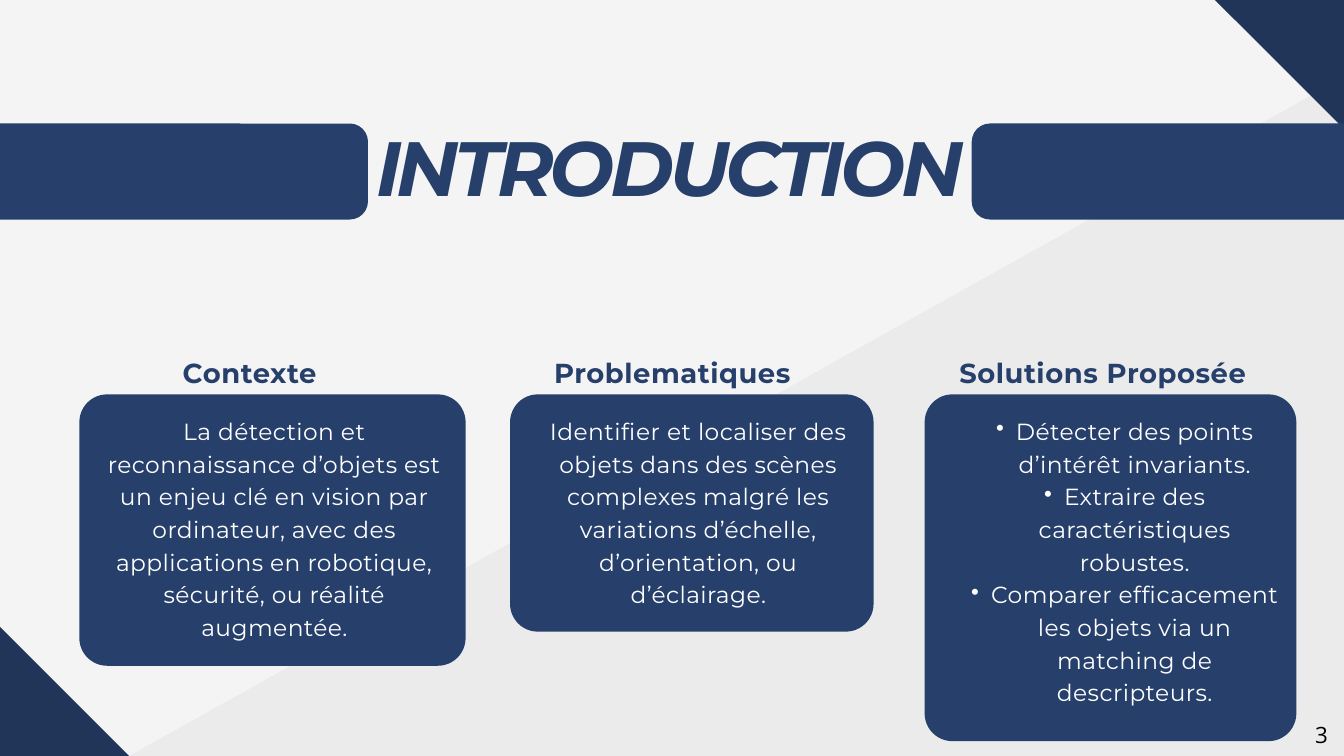
from dataclasses import dataclass

from lxml.etree import SubElement
from pptx import Presentation
from pptx.dml.color import RGBColor
from pptx.enum.shapes import MSO_SHAPE
from pptx.enum.text import MSO_AUTO_SIZE, PP_ALIGN
from pptx.oxml.ns import qn
from pptx.util import Cm, Pt


@dataclass(frozen=True)
class Style:
    font: str
    size: float
    color: str
    line: float
    track: float = 0
    bold: bool = False
    slant: bool = False


@dataclass(frozen=True)
class Theme:
    back: str = "F4F4F4"
    shade: str = "545454"
    dark: str = "213559"
    blue: str = "263F6B"
    title: Style = Style("Montserrat", 82.4, "263F6B", 80.7, -4.8, True, True)
    head: Style = Style("Montserrat", 29.4, "263F6B", 55.9, 0.6, True)
    body: Style = Style("Montserrat", 25, "FFFFFF", 35, 0.5)
    page: Style = Style("Open Sans", 24, "000000", 33.6)


@dataclass(frozen=True)
class Box:
    left: float
    top: float
    width: float
    height: float

    def place(self) -> tuple:
        return Cm(self.left), Cm(self.top), Cm(self.width), Cm(self.height)


@dataclass(frozen=True)
class Card:
    panel: Box
    head: Box
    body: Box
    title: str
    lines: tuple[str, ...]
    dots: bool = False


THEME = Theme()
WIDE, HIGH = 50.8, 28.58
BAR_TOP, BAR_HIGH, BAR_ROUND = 4.67, 3.63, 0.69
TOP, ROUND = 14.91, 1.05
HEAD_TOP, HEAD_HIGH, BODY_TOP = 12.73, 1.75, 15.6

BARS = (Box(-6.99, BAR_TOP, 20.9, BAR_HIGH), Box(36.73, BAR_TOP, 21.06, BAR_HIGH))
CARDS = (
    Card(Box(3, TOP, 14.6, 10.26), Box(4.57, HEAD_TOP, 9.73, HEAD_HIGH),
         Box(4.04, BODY_TOP, 12.67, 8.46), "Contexte",
         ("La détection et reconnaissance d’objets est un enjeu clé en vision par "
          "ordinateur, avec des applications en robotique, sécurité, ou réalité "
          "augmentée.",)),
    Card(Box(19.28, TOP, 13.74, 8.97), Box(20.55, HEAD_TOP, 9.73, HEAD_HIGH),
         Box(20.09, BODY_TOP, 12.62, 7.24), "Problematiques",
         ("Identifier et localiser des objets dans des scènes complexes malgré les "
          "variations d’échelle, d’orientation, ou d’éclairage.",)),
    Card(Box(34.95, TOP, 14.05, 13.11), Box(35.59, HEAD_TOP, 12.19, HEAD_HIGH),
         Box(35.59, BODY_TOP, 13.11, 12.09), "Solutions Proposée",
         ("Détecter des points d’intérêt invariants.",
          "Extraire des caractéristiques robustes.",
          "Comparer efficacement les objets via un matching de descripteurs."), True),
)


def block(slide, box: Box, color: str, turn: float = 0, curve: float = 0):
    """Draw a plain or rounded rectangle; curve is the corner radius in cm."""
    kind = MSO_SHAPE.ROUNDED_RECTANGLE if curve else MSO_SHAPE.RECTANGLE
    shape = slide.shapes.add_shape(kind, *box.place())
    if curve:
        shape.adjustments[0] = curve / min(box.width, box.height)
    shape.rotation = turn
    shape.shadow.inherit = False
    shape.fill.solid()
    shape.fill.fore_color.rgb = RGBColor.from_string(color)
    shape.line.fill.background()
    return shape


def fade(shape, share: int) -> None:
    """Make the fill opaque to the given percentage."""
    color = shape.fill._xPr.find(".//" + qn("a:srgbClr"))
    SubElement(color, qn("a:alpha"), val=str(share * 1000))


def label(slide, box: Box, style: Style, lines: tuple[str, ...],
          dots: bool = False, wrap: bool = True) -> None:
    frame = slide.shapes.add_textbox(*box.place()).text_frame
    frame.margin_left = frame.margin_right = 0
    frame.margin_top = frame.margin_bottom = 0
    frame.word_wrap = wrap
    frame.auto_size = MSO_AUTO_SIZE.SHAPE_TO_FIT_TEXT
    for i, line in enumerate(lines):
        para = frame.paragraphs[0] if i == 0 else frame.add_paragraph()
        para.text = line
        para.alignment = PP_ALIGN.CENTER
        para.line_spacing = Pt(style.line)
        if dots:
            para.level = 1
            props = para._p.get_or_add_pPr()
            props.set("marL", str(Cm(1.5)))
            props.set("indent", str(Cm(-0.75)))
            SubElement(props, qn("a:buChar"), char="•")
        font = para.font
        font.name = style.font
        font.size = Pt(style.size)
        font.bold = style.bold
        font.italic = style.slant
        font.color.rgb = RGBColor.from_string(style.color)
        if style.track:
            chars = para._p.pPr.find(qn("a:defRPr"))
            chars.set("spc", str(round(style.track * 100)))


def main() -> None:
    deck = Presentation()
    deck.slide_width, deck.slide_height = Cm(WIDE), Cm(HIGH)
    slide = deck.slides.add_slide(deck.slide_layouts[6])
    back = slide.background.fill
    back.solid()
    back.fore_color.rgb = RGBColor.from_string(THEME.back)

    fade(block(slide, Box(-3.1, 14.96, 71.63, 26.62), THEME.shade, 330.8), 5)
    long, short = 14.7, 6.9
    for x, y in ((0, HIGH), (WIDE, 0)):
        block(slide, Box(x - long / 2, y - short / 2, long, short), THEME.dark, 45)
    for bar in BARS:
        block(slide, bar, THEME.blue, curve=BAR_ROUND)
    label(slide, Box(14.15, 5.16, 22.33, 3), THEME.title, ("INTRODUCTION",))

    for card in CARDS:
        block(slide, card.panel, THEME.blue, curve=ROUND)
        label(slide, card.body, THEME.body, card.lines, card.dots)
        label(slide, card.head, THEME.head, (card.title,))
    label(slide, Box(49.71, 27.08, 0.43, 0.53), THEME.page, ("3",), wrap=False)
    deck.save("out.pptx")


if __name__ == "__main__":
    main()
